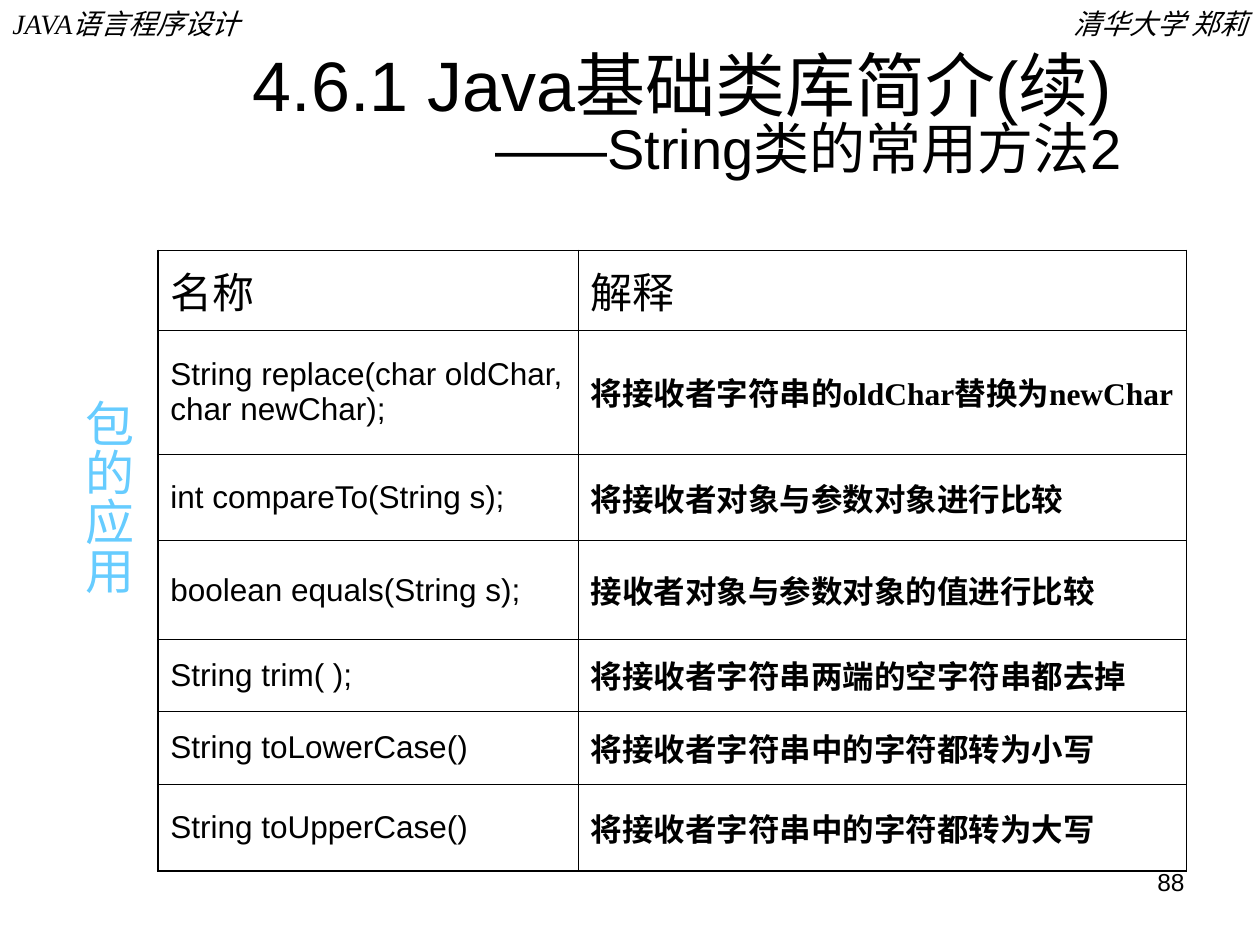
from lxml import etree
from pptx import Presentation
from pptx.dml.color import RGBColor
from pptx.enum.text import MSO_ANCHOR, PP_ALIGN
from pptx.oxml.ns import qn
from pptx.util import Cm, Pt

LEFT, CENTER, RIGHT = PP_ALIGN.LEFT, PP_ALIGN.CENTER, PP_ALIGN.RIGHT
TOP, MIDDLE, BOTTOM = MSO_ANCHOR.TOP, MSO_ANCHOR.MIDDLE, MSO_ANCHOR.BOTTOM
COLORS = {"text": "000000", "side": "66CCFF"}
CJK = "Noto Sans CJK SC"


def add_run(p, text, color="text", **fmt):
    r = p.add_run()
    r.text = text
    for name, value in fmt.items():
        setattr(r.font, name, value)
    r.font.color.rgb = RGBColor.from_string(COLORS[color])
    ea = etree.SubElement(r._r.get_or_add_rPr(), qn("a:ea"))
    ea.set("typeface", CJK)


def add_border(cell, side, width):
    ln = etree.SubElement(cell._tc.get_or_add_tcPr(), qn("a:" + side))
    ln.set("w", str(Pt(width)))
    fill = etree.SubElement(ln, qn("a:solidFill"))
    etree.SubElement(fill, qn("a:srgbClr")).set("val", COLORS["text"])


prs = Presentation()
prs.slide_width, prs.slide_height = Cm(25.4), Cm(19.05)
s = prs.slides.add_slide(prs.slide_layouts[6])

# Page header, page number and title
header = {"size": Pt(16), "name": "Times New Roman", "italic": True}
number = {"size": Pt(14), "name": "Arial"}
title = {"size": Pt(40), "name": "Arial"}
side = {"size": Pt(28), "name": "Times New Roman", "color": "side"}
boxes = {}
for key, text, box, align, anchor, fmt in [
    ("school", "清华大学 郑莉", (17.58, 0, 7.82, 0.94), RIGHT, TOP, header),
    ("course", "JAVA语言程序设计", (0, 0, 7.82, 0.94), LEFT, TOP, header),
    ("number", "88", (18.21, 17.35, 5.92, 1.32), RIGHT, TOP, number),
    ("title", "4.6.1 Java基础类库简介(续)", (3.61, 0.64, 20.29, 3.18), CENTER, BOTTOM, title),
    ("side", "包的应用", (1.22, 2.72, 1.68, 14.6), LEFT, TOP, side),
]:
    tf = s.shapes.add_textbox(*map(Cm, box)).text_frame
    tf.word_wrap = True
    tf.vertical_anchor = anchor
    p = tf.paragraphs[0]
    p.alignment = align
    add_run(p, text, **fmt)
    boxes[key] = tf

# Subtitle, centred in the space right of the indent
tf = boxes["title"]
tf.margin_bottom = Cm(0.21)
p = tf.add_paragraph()
p.alignment = CENTER
p._p.get_or_add_pPr().set("marL", str(Cm(5.08)))
add_run(p, "——String类的常用方法2", size=Pt(32), name="Arial")
for line in tf.paragraphs:
    line.line_spacing = 0.7
p.space_before = Pt(5)

# Side label runs from top to bottom, the top margin puts it mid-height
tf = boxes["side"]
tf.margin_left = tf.margin_right = Cm(0.13)
tf.margin_top, tf.margin_bottom = Cm(5.33), Cm(0.25)
tf._txBody.bodyPr.set("vert", "eaVert")

# Table of String methods
rows = [
    ("名称", "解释", 1.6),
    ("String replace(char oldChar, char newChar);", "将接收者字符串的oldChar替换为newChar", 2.5),
    ("int compareTo(String s);", "将接收者对象与参数对象进行比较", 1.75),
    ("boolean equals(String s);", "接收者对象与参数对象的值进行比较", 1.99),
    ("String trim( );", "将接收者字符串两端的空字符串都去掉", 1.44),
    ("String toLowerCase()", "将接收者字符串中的字符都转为小写", 1.48),
    ("String toUpperCase()", "将接收者字符串中的字符都转为大写", 1.75),
]
head_fmt = {"size": Pt(24), "name": "Arial", "bold": False}
method_fmt = {"size": Pt(18), "name": "Arial", "bold": False}
note_fmt = {"size": Pt(18), "name": "Times New Roman", "bold": True}
OUTER, INNER = 1.08, 0.45
height = sum(row[2] for row in rows)
table = s.shapes.add_table(len(rows), 2, Cm(3.18), Cm(5.05), Cm(20.74), Cm(height)).table
table.first_row = table.horz_banding = False
for column, width in zip(table.columns, (8.47, 12.27)):
    column.width = Cm(width)
for i, (method, note, row_height) in enumerate(rows):
    table.rows[i].height = Cm(row_height)
    for j, text in enumerate((method, note)):
        cell = table.cell(i, j)
        cell.vertical_anchor = MIDDLE
        on_edge = {"lnL": j == 0, "lnR": j == 1, "lnT": i == 0, "lnB": i == len(rows) - 1}
        for edge, outer in on_edge.items():
            add_border(cell, edge, OUTER if outer else INNER)
        cell.fill.background()
        fmt = head_fmt if i == 0 else (method_fmt, note_fmt)[j]
        add_run(cell.text_frame.paragraphs[0], text, **fmt)

prs.save("out.pptx")
